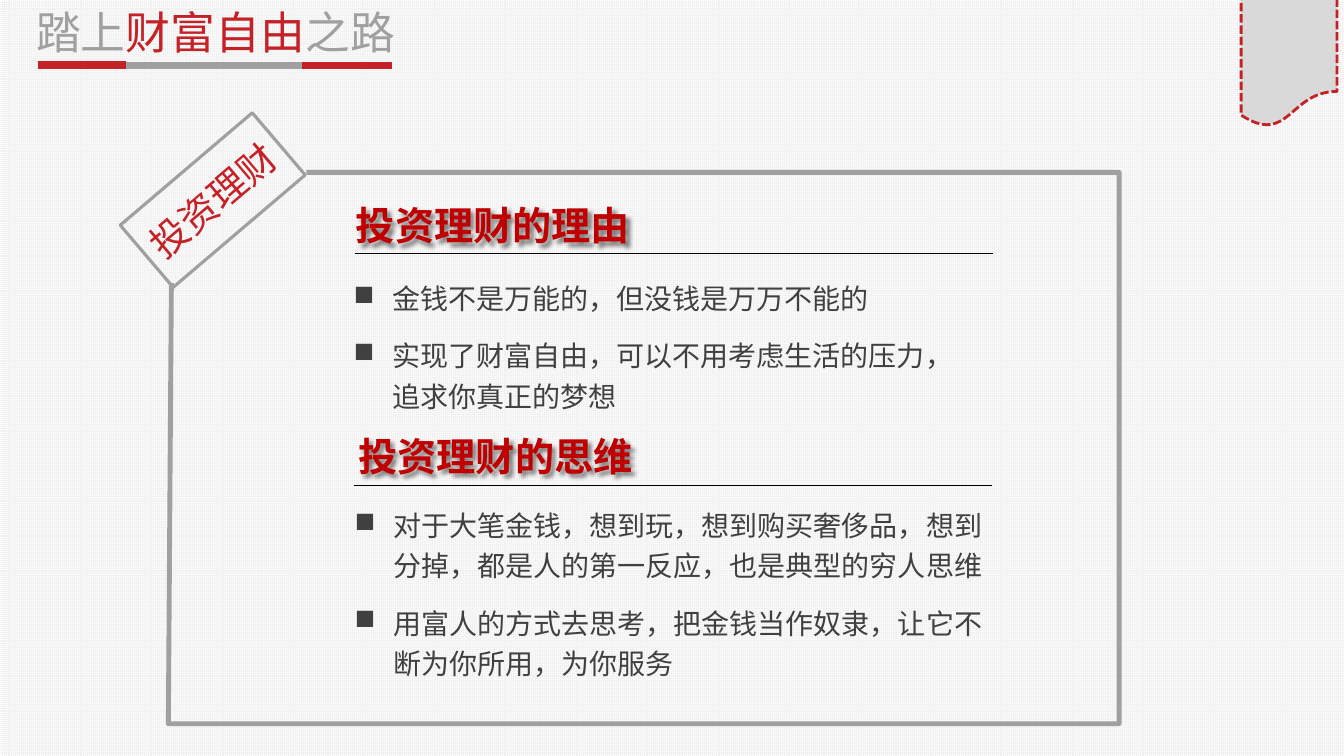
from lxml import etree
from pptx import Presentation
from pptx.dml.color import RGBColor
from pptx.enum import dml, shapes, text
from pptx.oxml.ns import qn
from pptx.util import Inches, Pt

GREY, RED, DARK_RED = "A0A0A0", "C52227", "C00000"
SANS = "Noto Sans CJK SC"


def rgb(value):
    return RGBColor.from_string(value)


def add_run(p, words, size, color, bold=False, font=SANS):
    r = p.add_run()
    r.text = words
    for name, value in dict(size=Pt(size), bold=bold, name=font).items():
        setattr(r.font, name, value)
    r.font.color.rgb = rgb(color)
    etree.SubElement(r.font._element, qn("a:ea"), typeface=font)


prs = Presentation()
prs.slide_width, prs.slide_height = Inches(13.33), Inches(7.5)
s = prs.slides.add_slide(prs.slide_layouts[6])

# Background grid
fill = s.background.fill
fill.patterned()
fill.pattern = dml.MSO_PATTERN.SMALL_GRID
fill.fore_color.rgb, fill.back_color.rgb = rgb("F2F2F2"), rgb("FFFFFF")

# Title
tf = s.shapes.add_textbox(Inches(0.26), 0, Inches(3.86), Inches(0.64)).text_frame
tf.word_wrap = True
for words, color in [("踏上", GREY), ("财富自由", RED), ("之路", GREY)]:
    add_run(tf.paragraphs[0], words, 32, color)

# Title bar and heading rules
for x1, x2, y, color, width in [
    (1.25, 3.01, 0.65, GREY, 5.25),
    (3, 3.89, 0.65, RED, 5.25),
    (0.38, 1.25, 0.645, RED, 5.25),
    (3.52, 9.85, 2.51, "000000", 0.5),
    (3.51, 9.84, 4.82, "000000", 0.5),
]:
    line = s.shapes.add_connector(
        shapes.MSO_CONNECTOR.STRAIGHT, Inches(x1), Inches(y), Inches(x2), Inches(y))
    line.line.color.rgb, line.line.width = rgb(color), Pt(width)
    etree.SubElement(line._element.spPr, qn("a:effectLst"))

# Ribbon
ribbon = s.shapes.add_shape(
    shapes.MSO_SHAPE.FLOWCHART_DOCUMENT, Inches(12.31), Inches(-0.52), Inches(0.95), Inches(1.78))
ribbon.shadow.inherit = False
ribbon.fill.solid()
ribbon.fill.fore_color.rgb = rgb("D9D9D9")
ribbon.line.color.rgb, ribbon.line.width = rgb(RED), Pt(2)
ribbon.line.dash_style = dml.MSO_LINE.SQUARE_DOT
ribbon.line._ln.find(qn("a:prstDash")).set("val", "sysDash")

# Open frame
corners = [(Inches(x), Inches(y)) for x, y in
           [(3.04, 1.71), (11.1, 1.71), (11.1, 7.18), (1.67, 7.18), (1.7, 2.81)]]
builder = s.shapes.build_freeform(*corners[0])
builder.add_line_segments(corners[1:], close=False)
frame = builder.convert_to_shape()
frame.shadow.inherit = False
frame.fill.background()
frame.line.color.rgb, frame.line.width = rgb(GREY), Pt(3.5)

# Tilted tag
tag = s.shapes.add_shape(
    shapes.MSO_SHAPE.RECTANGLE, Inches(1.25), Inches(1.58), Inches(1.72), Inches(0.81))
tag.rotation = 319.6
tag.shadow.inherit = False
tag.fill.background()
tag.line.color.rgb, tag.line.width = rgb(GREY), Pt(2.25)
tag.text_frame.vertical_anchor = text.MSO_ANCHOR.MIDDLE
tag.text_frame.word_wrap = False
tag.text_frame.paragraphs[0].alignment = text.PP_ALIGN.CENTER
add_run(tag.text_frame.paragraphs[0], "投资理财", 27, RED, font="Noto Sans CJK JP")

# Headings with a soft shadow
for words, y, width in [("投资理财的理由", 1.99, 3.02), ("投资理财的思维", 4.28, 3.07)]:
    sp = s.shapes.add_shape(
        shapes.MSO_SHAPE.ROUNDED_RECTANGLE, Inches(3.38), Inches(y), Inches(width), Inches(0.48))
    sp.fill.background()
    sp.line.fill.background()
    sp.shadow.inherit = False
    shadow = etree.SubElement(sp._element.spPr.find(qn("a:effectLst")), qn("a:outerShdw"),
                              blurRad="38100", dist="38100", dir="2700000", algn="tl")
    black = etree.SubElement(shadow, qn("a:srgbClr"), val="000000")
    etree.SubElement(black, qn("a:alpha"), val="50000")
    sp.text_frame.vertical_anchor = text.MSO_ANCHOR.MIDDLE
    sp.text_frame.word_wrap = False
    sp.text_frame.paragraphs[0].alignment = text.PP_ALIGN.CENTER
    add_run(sp.text_frame.paragraphs[0], words, 28, DARK_RED, bold=True)

# Bulleted points
for x, y, width, height, points in [
    (3.41, 2.68, 6.35, 1.55, ["金钱不是万能的，但没钱是万万不能的",
                              "实现了财富自由，可以不用考虑生活的压力，追求你真正的梦想"]),
    (3.42, 4.93, 6.6, 1.88, ["对于大笔金钱，想到玩，想到购买奢侈品，想到分掉，都是人的第一反应，也是典型的穷人思维",
                             "用富人的方式去思考，把金钱当作奴隶，让它不断为你所用，为你服务"]),
]:
    tf = s.shapes.add_textbox(Inches(x), Inches(y), Inches(width), Inches(height)).text_frame
    tf.word_wrap = True
    for i, point in enumerate(points):
        p = tf.add_paragraph() if i else tf.paragraphs[0]
        for name, value in dict(line_spacing=1.2, space_before=Pt(6 if i else 0),
                                space_after=Pt(6)).items():
            setattr(p, name, value)
        pPr = p._p.get_or_add_pPr()
        pPr.set("marL", str(Inches(0.38)))
        pPr.set("indent", str(-Inches(0.38)))
        etree.SubElement(pPr, qn("a:buChar"), char="■")
        add_run(p, point, 20, "404040")

prs.save("out.pptx")
